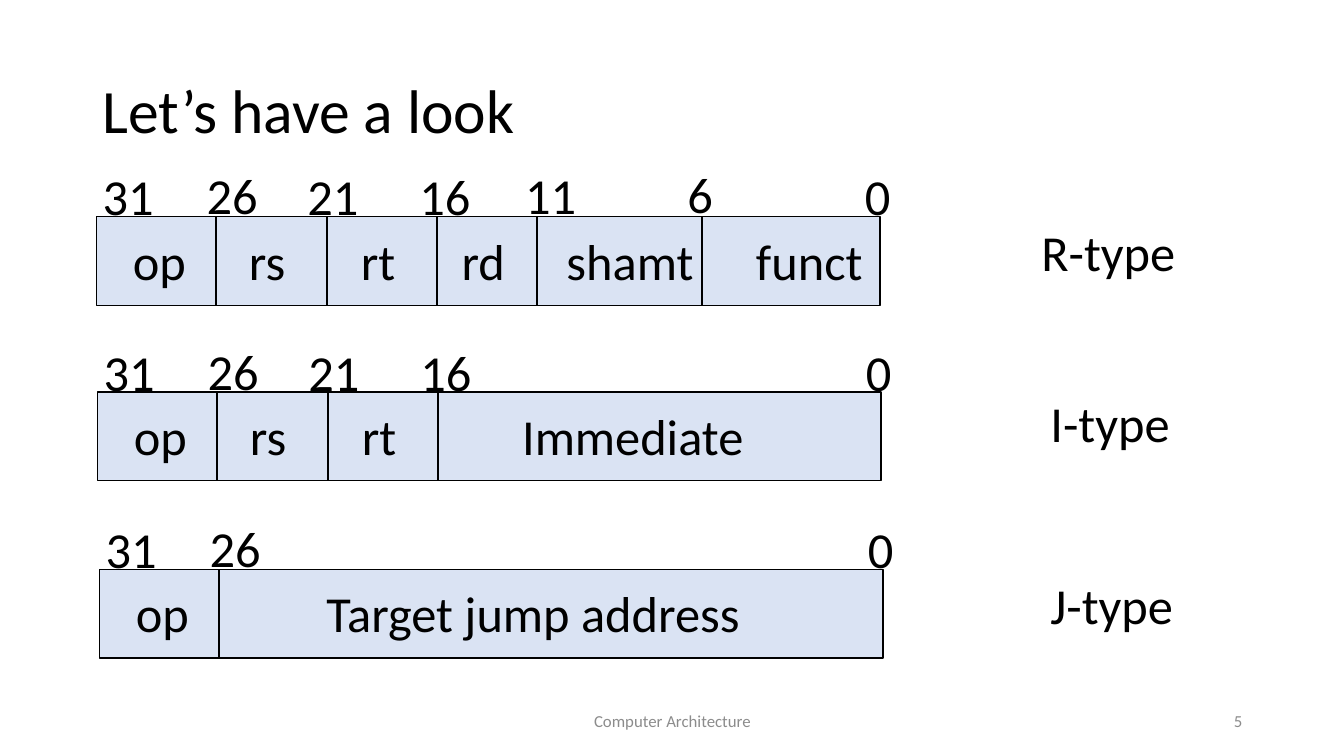
import pptx
import pptx.dml.color
import pptx.enum.shapes
import pptx.enum.text
import pptx.oxml
import pptx.util
from pptx.util import Inches

COLORS = {"text": "000000", "footer": "8C8C8C", "field": "DAE3F3", "line": "000000"}
FONT = "Calibri"
BAR_WIDTH, BAR_HEIGHT = 7.77, 0.88
TEXT_HEIGHT = 0.71
FIELD_DROP = 0.08

# Bit number: label offset from the bar's left and top, label width, divider offset
BITS = {
    31: (-0.04, -0.56, 0.71, None),
    26: (0.99, -0.57, 0.71, 1.18),
    21: (1.99, -0.56, 0.71, 2.28),
    16: (3.1, -0.56, 0.71, 3.37),
    11: (4.15, -0.57, 0.71, 4.37),
    6: (5.76, -0.58, 0.46, 6.0),
    0: (7.52, -0.56, 0.46, None),
}

# Field name: offset from the bar's left, width
FIELDS = {
    "op": (0.26, 0.73),
    "rs": (1.41, 0.57),
    "rt": (2.52, 0.55),
    "rd": (3.52, 0.64),
    "shamt": (4.56, 1.47),
    "funct": (6.44, 1.27),
    "Immediate": (4.11, 2.42),
    "Target jump address": (2.15, 4.34),
}

FORMATS = [
    {"bar": (0.96, 2.15), "bits": [31, 26, 21, 16, 11, 6, 0],
     "fields": ["op", "rs", "rt", "rd", "shamt", "funct"],
     "name": "R-type", "name_box": (10.23, 2.14, 1.54)},
    {"bar": (0.97, 3.89), "bits": [31, 26, 21, 16, 0],
     "fields": ["op", "rs", "rt", "Immediate"],
     "name": "I-type", "name_box": (10.32, 3.84, 1.4)},
    {"bar": (0.99, 5.65), "bits": [31, 26, 0],
     "fields": ["op", "Target jump address"],
     "name": "J-type", "name_box": (10.32, 5.65, 1.43)},
]

ALIGN = pptx.enum.text.PP_ALIGN
FRAMED_TEXTS = [
    ("Let’s have a look", (0.92, 0.4, 11.5, 1.45), 44, "text",
     {"alignment": ALIGN.LEFT, "line_spacing": 0.9}),
    ("Computer Architecture", (4.42, 6.95, 4.5, 0.4), 12, "footer",
     {"alignment": ALIGN.CENTER}),
    ("5", (9.42, 6.95, 3, 0.4), 12, "footer", {"alignment": ALIGN.RIGHT}),
]


def rgb(name):
    return pptx.dml.color.RGBColor.from_string(COLORS[name])


def set_attributes(target, values):
    for name, value in values.items():
        setattr(target, name, value)


def add_text(slide, text, box, size, color, frame_format, paragraph_format):
    shape = slide.shapes.add_textbox(*map(Inches, box))
    set_attributes(shape.text_frame, frame_format)
    paragraph = shape.text_frame.paragraphs[0]
    set_attributes(paragraph, paragraph_format)
    run = paragraph.add_run()
    run.text = text
    set_attributes(run.font, {"name": FONT, "size": pptx.util.Pt(size)})
    run.font.color.rgb = rgb(color)


def add_label(slide, text, left, top, width):
    frame_format = {"word_wrap": False,
                    "auto_size": pptx.enum.text.MSO_AUTO_SIZE.SHAPE_TO_FIT_TEXT}
    add_text(slide, text, (left, top, width, TEXT_HEIGHT), 36, "text", frame_format, {})


def add_bar(slide, left, top):
    bar = slide.shapes.add_shape(
        pptx.enum.shapes.MSO_SHAPE.RECTANGLE,
        *map(Inches, (left, top, BAR_WIDTH, BAR_HEIGHT)))
    bar.shadow.inherit = False
    bar.fill.solid()
    bar.fill.fore_color.rgb = rgb("field")
    bar.line.color.rgb = rgb("line")
    bar.line.width = pptx.util.Pt(1)


def add_divider(slide, x, top):
    divider = slide.shapes.add_connector(
        pptx.enum.shapes.MSO_CONNECTOR.STRAIGHT,
        *map(Inches, (x, top, x, top + BAR_HEIGHT)))
    divider.line.color.rgb = rgb("line")
    divider.line.width = pptx.util.Pt(1.5)
    properties = divider._element.spPr
    properties.append(pptx.oxml.parse_xml(
        '<a:effectLst xmlns:a="http://schemas.openxmlformats.org/drawingml/2006/main"/>'))


def add_format(slide, layout):
    left, top = layout["bar"]
    add_bar(slide, left, top)
    for bit in layout["bits"]:
        label_x, label_y, width, divider_x = BITS[bit]
        if divider_x is not None:
            add_divider(slide, left + divider_x, top)
        add_label(slide, str(bit), left + label_x, top + label_y, width)
    for field in layout["fields"]:
        field_x, width = FIELDS[field]
        add_label(slide, field, left + field_x, top + FIELD_DROP, width)
    add_label(slide, layout["name"], *layout["name_box"])


def main():
    presentation = pptx.Presentation()
    presentation.slide_width = Inches(13.33)
    presentation.slide_height = Inches(7.5)
    slide = presentation.slides.add_slide(presentation.slide_layouts[6])

    # Title, footer and slide number
    frame_format = {"word_wrap": True,
                    "vertical_anchor": pptx.enum.text.MSO_ANCHOR.MIDDLE}
    for text, box, size, color, paragraph_format in FRAMED_TEXTS:
        add_text(slide, text, box, size, color, frame_format, paragraph_format)

    # Instruction formats
    for layout in FORMATS:
        add_format(slide, layout)

    presentation.save("out.pptx")


if __name__ == "__main__":
    main()
